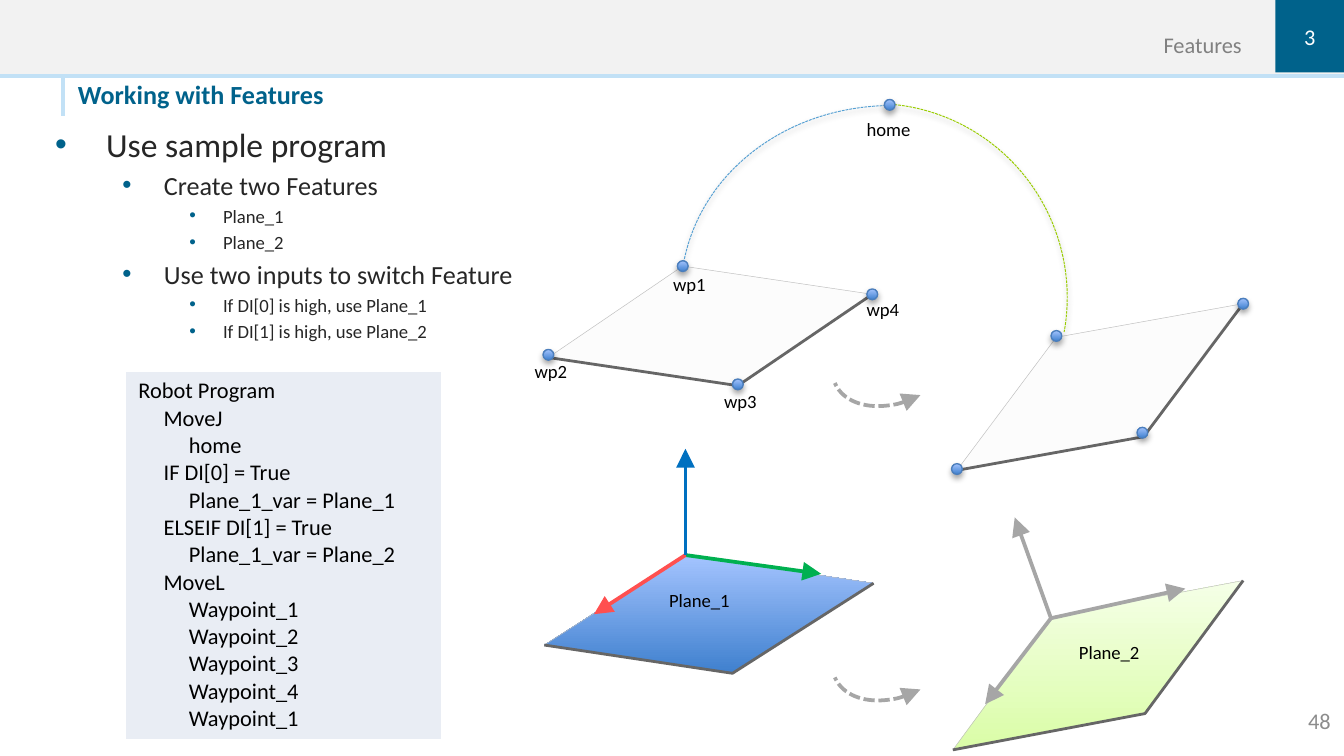
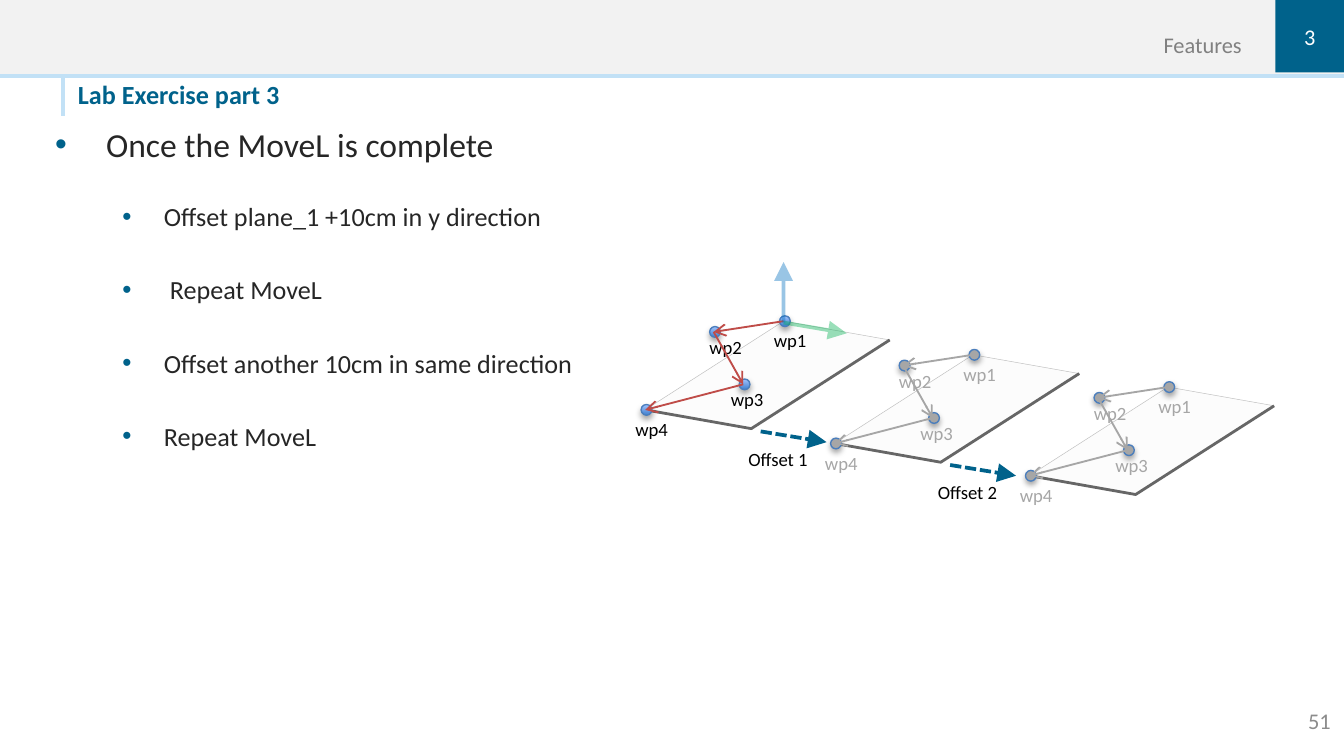
from lxml import etree
from pptx import Presentation
from pptx.dml.color import RGBColor
from pptx.enum.dml import MSO_LINE
from pptx.enum.shapes import MSO_CONNECTOR, MSO_SHAPE
from pptx.enum.text import MSO_ANCHOR, MSO_AUTO_SIZE, PP_ALIGN
from pptx.oxml.ns import qn
from pptx.util import Inches, Pt

RECTANGLE, OVAL, ARC = MSO_SHAPE.RECTANGLE, MSO_SHAPE.OVAL, MSO_SHAPE.ARC
STRAIGHT = MSO_CONNECTOR.STRAIGHT
DASHED = MSO_LINE.SQUARE_DOT
LEFT, CENTER, RIGHT = PP_ALIGN.LEFT, PP_ALIGN.CENTER, PP_ALIGN.RIGHT
TOP, MIDDLE, BOTTOM = MSO_ANCHOR.TOP, MSO_ANCHOR.MIDDLE, MSO_ANCHOR.BOTTOM
NO_AUTOSIZE = MSO_AUTO_SIZE.NONE

BLACK = RGBColor(0, 0, 0)
WHITE = RGBColor(0xFF, 0xFF, 0xFF)
NAVY = RGBColor(0x00, 0x62, 0x8B)
SKY = RGBColor(0xC2, 0xE1, 0xF6)
BAND = RGBColor(0xF2, 0xF2, 0xF2)
INK = RGBColor(0x26, 0x26, 0x26)
HEADER_GRAY = RGBColor(0x80, 0x80, 0x80)
NUMBER_GRAY = RGBColor(0x8C, 0x8C, 0x8C)
GRAY = RGBColor(0xA6, 0xA6, 0xA6)
EDGE = RGBColor(0x66, 0x66, 0x66)
HAIRLINE = RGBColor(0xBF, 0xBF, 0xBF)
PAPER = RGBColor(0xFC, 0xFC, 0xFC)
CODE_FILL = RGBColor(0xE9, 0xED, 0xF4)
DOT_LINE = RGBColor(0x4B, 0x7E, 0xBC)
BLUE_FADE = RGBColor(0x3F, 0x80, 0xCE), RGBColor(0xA4, 0xC4, 0xFF)
GREEN_FADE = RGBColor(0xDA, 0xFD, 0xA7), RGBColor(0xF5, 0xFF, 0xE7)
AXIS_GREEN = RGBColor(0x00, 0xB0, 0x50)
AXIS_RED = RGBColor(0xFF, 0x50, 0x50)
AXIS_BLUE = RGBColor(0x00, 0x70, 0xC0)
ROUTE_RED = RGBColor(0xBF, 0x4C, 0x48)
ARC_BLUE = RGBColor(0x56, 0xA0, 0xD3)
ARC_GREEN = RGBColor(0x99, 0xCC, 0x00)

FONT = "Calibri"
COLUMNS = 10
ROWS = COLUMNS * 9 / 16
DOT = 0.08
HEAD_SIZES = {"triangle": "lg", "arrow": "med"}
LEVELS = [(0.38, 0.38, 18), (0.81, 0.31, 14), (1.25, 0.25, 10)]  # margin, hang, size

CODE = """Robot Program
     MoveJ
          home
     IF DI[0] = True
          Plane_1_var = Plane_1
     ELSEIF DI[1] = True
          Plane_1_var = Plane_2
     MoveL
          Waypoint_1
          Waypoint_2
          Waypoint_3
          Waypoint_4
          Waypoint_1"""


def grid(*cells):
    """Turn columns and rows of the 16:9 grid, ten columns wide, into lengths."""
    return [Inches(cell) for cell in cells]


def shift(point, step):
    return point[0] + step[0], point[1] + step[1]


def write(para, text, color, size, bold=False):
    span = para.add_run()
    span.text = text
    span.font.color.rgb = color
    for name, value in {"name": FONT, "size": Pt(size), "bold": bold}.items():
        setattr(span.font, name, value)


def set_frame(frame, anchor=TOP, insets=(0.1, 0.05, 0.1, 0.05)):
    values = {"word_wrap": True, "auto_size": NO_AUTOSIZE, "vertical_anchor": anchor}
    sides = ("margin_left", "margin_top", "margin_right", "margin_bottom")
    values.update(zip(sides, grid(*insets)))
    for name, value in values.items():
        setattr(frame, name, value)


def add_label(shapes, place, text, color=BLACK, size=10, align=LEFT, **frame_format):
    box = shapes.add_textbox(*grid(*place))
    set_frame(box.text_frame, **frame_format)
    para = box.text_frame.paragraphs[0]
    para.alignment = align
    write(para, text, color, size)


def set_line(shape, color, width, dash=None, head=None, tail=None, opacity=100):
    shape.line.color.rgb = color
    shape.line.width = Pt(width)
    if dash:
        shape.line.dash_style = dash
    line = shape.element.spPr.find(qn("a:ln"))
    if opacity < 100:
        alpha = etree.SubElement(line.find(".//" + qn("a:srgbClr")), qn("a:alpha"))
        alpha.set("val", str(opacity * 1000))
    for tag, kind in (("a:headEnd", head), ("a:tailEnd", tail)):
        if kind:
            size = HEAD_SIZES[kind]
            etree.SubElement(line, qn(tag), type=kind, w=size, len=size)


def set_fill(shape, fill):
    """Fill with one colour, or fade upwards through a pair of colours."""
    if isinstance(fill, RGBColor):
        shape.fill.solid()
        shape.fill.fore_color.rgb = fill
        return
    shape.fill.gradient()
    shape.fill.gradient_angle = 90
    for stop, color in zip(shape.fill.gradient_stops, fill):
        stop.color.rgb = color


def drop_shadow(shape):
    effects = shape.element.spPr.find(qn("a:effectLst"))
    shadow = etree.SubElement(effects, qn("a:outerShdw"), blurRad=str(Pt(3.1)),
                              dist=str(Pt(1.8)), dir="5400000", rotWithShape="0")
    color = etree.SubElement(shadow, qn("a:srgbClr"), val=str(BLACK))
    etree.SubElement(color, qn("a:alpha"), val="35000")


def add_box(shapes, place, fill):
    box = shapes.add_shape(RECTANGLE, *grid(*place))
    box.shadow.inherit = False
    set_fill(box, fill)
    box.line.fill.background()
    return box


def add_line(shapes, start, end, color, width=2, **line_format):
    line = shapes.add_connector(STRAIGHT, *grid(*start, *end))
    set_line(line, color, width, **line_format)
    etree.SubElement(line.element.spPr, qn("a:effectLst"))
    return line


def add_arrow(shapes, start, end, color, tail="triangle", **line_format):
    add_line(shapes, start, end, color, tail=tail, **line_format)


def add_dot(shapes, corner, fill=BLUE_FADE):
    dot = shapes.add_shape(OVAL, *grid(*corner, DOT, DOT))
    dot.shadow.inherit = False
    set_fill(dot, fill)
    set_line(dot, DOT_LINE, 0.75)
    drop_shadow(dot)


def add_arc(shapes, place, rotation, sweep, color, width, **line_format):
    arc = shapes.add_shape(ARC, *grid(*place))
    arc.rotation = rotation
    arc.adjustments[0], arc.adjustments[1] = sweep
    arc.shadow.inherit = False
    arc.fill.background()
    set_line(arc, color, width, dash=DASHED, **line_format)
    return arc


def add_outline(shapes, points, close):
    start, *rest = [grid(*point) for point in points]
    builder = shapes.build_freeform(*start)
    builder.add_line_segments(rest, close=close)
    outline = builder.convert_to_shape()
    outline.shadow.inherit = False
    return outline


def add_plane(shapes, back, across, down, fill=PAPER):
    """Draw a tilted sheet from its back corner, with a dark front edge."""
    right, left = shift(back, across), shift(back, down)
    front = shift(right, down)
    sheet = add_outline(shapes, [back, right, front, left], True)
    set_fill(sheet, fill)
    set_line(sheet, HAIRLINE, 0.25)
    edge = add_outline(shapes, [left, front, right], False)
    edge.fill.background()
    set_line(edge, EDGE, 1.5)


def set_up_layout(layout, page):
    """Place the placeholders and the bands that all pages share."""
    places = {0: (0.58, 0.58, 4.41, 0.28), 1: (0.31, 0.87, 8.71, 4.5)}
    for holder in layout.placeholders:
        place = places.get(holder.placeholder_format.idx)
        if place:
            holder.left, holder.top, holder.width, holder.height = grid(*place)
    bands = [add_box(page.shapes, (0, 0, COLUMNS, 0.58), SKY),
             add_box(page.shapes, (0, 0, COLUMNS, 0.55), BAND),
             add_line(page.shapes, (0.47, 0.58), (0.47, 0.86), SKY, 2.5)]
    for band in bands:
        layout.shapes.element.append(band.element)


def add_heading(page, title, number):
    frame = page.shapes.title.text_frame
    set_frame(frame, insets=(0, 0, 0, 0.04))
    frame.paragraphs[0].alignment = LEFT
    write(frame.paragraphs[0], title, NAVY, 14, bold=True)
    none = (0, 0, 0, 0)
    add_label(page.shapes, (5, 0, 4.24, 0.43), "Features", HEADER_GRAY, 12, RIGHT,
              anchor=BOTTOM, insets=none)
    tile = add_box(page.shapes, (9.49, 0, 0.51, 0.54), NAVY)
    set_frame(tile.text_frame, MIDDLE, none)
    tile.text_frame.paragraphs[0].alignment = CENTER
    write(tile.text_frame.paragraphs[0], "3", WHITE, 12)
    add_label(page.shapes, (9, 5.21, 1, 0.3), number, NUMBER_GRAY, 12, RIGHT, anchor=MIDDLE)


def add_bullets(page, items):
    """Fill the body with (level, text) items; a third value is the space before."""
    frame = page.placeholders[1].text_frame
    set_frame(frame)
    for index, (level, text, *space) in enumerate(items):
        para = frame.paragraphs[0] if index == 0 else frame.add_paragraph()
        margin, hang, size = LEVELS[level]
        para.level = level
        properties = para._p.get_or_add_pPr()
        properties.set("marL", str(Inches(margin)))
        properties.set("indent", str(-Inches(hang)))
        color = etree.SubElement(properties, qn("a:buClr"))
        etree.SubElement(color, qn("a:srgbClr"), val=str(NAVY))
        etree.SubElement(properties, qn("a:buFont"), typeface="Arial")
        etree.SubElement(properties, qn("a:buChar"), char="•")
        if index == 0:
            para.space_before = Pt(0)
        elif space:
            para.space_before = Pt(space[0])
        write(para, text, INK, size)


def add_code(page):
    table = page.shapes.add_table(1, 1, *grid(0.93, 2.76, 2.36, 2.67)).table
    table.first_row = table.horz_banding = False
    cell = table.cell(0, 0)
    set_fill(cell, CODE_FILL)
    for index, line in enumerate(CODE.split("\n")):
        para = cell.text_frame.paragraphs[0] if index == 0 else cell.text_frame.add_paragraph()
        write(para, line, BLACK, 12)


def draw_features(page):
    shapes = page.shapes
    add_plane(shapes, (5.1, 4.13), (1.4, 0.21), (-1.05, 0.67), BLUE_FADE)
    add_plane(shapes, (7.82, 4.59), (1.43, -0.27), (-0.73, 0.99), GREEN_FADE)
    drop_shadow(add_arc(shapes, (5.24, 0.61, 2.92, 3.28), 279.4, (162, 207.6), ARC_BLUE, 0.5))
    for tip, color in [((6.11, 4.27), AXIS_GREEN), ((4.42, 4.57), AXIS_RED),
                       ((5.1, 3.34), AXIS_BLUE)]:
        add_arrow(shapes, (5.1, 4.13), tip, color)
    add_plane(shapes, (5.08, 1.98), (1.41, 0.21), (-1, 0.68))
    add_plane(shapes, (7.86, 2.51), (1.39, -0.25), (-0.74, 0.99))
    drop_shadow(add_arc(shapes, (5.07, 0.78, 2.88, 2.86), 80.6, (116.4, 173.92), ARC_GREEN, 0.5))
    for corner in [(4.04, 2.6), (5.45, 2.82), (5.04, 1.94), (6.45, 2.15), (6.58, 0.74),
                   (7.08, 3.45), (8.46, 3.18), (7.82, 2.46), (9.21, 2.22)]:
        add_dot(shapes, corner)
    for text, corner in {"wp2": (3.88, 2.63), "wp1": (4.91, 1.98), "wp3": (5.29, 2.85),
                         "wp4": (6.35, 2.17), "home": (6.35, 0.83),
                         "Plane_1": (4.88, 4.33), "Plane_2": (7.93, 4.72)}.items():
        add_label(shapes, (*corner, 0.86 if "_" in text else 0.54, 0.27), text)
    for tip in [(8.82, 4.38), (7.33, 5.24), (7.55, 3.85)]:
        add_arrow(shapes, (7.82, 4.6), tip, GRAY)
    for top in (2.27, 4.46):
        add_arc(shapes, (6.16, top, 1.05, 0.71), 152.6, (162, 1.17), GRAY, 2, head="triangle")


def draw_route(page, step, dot_fill, label_color, route_color):
    """Draw one sheet with its four waypoints, moved by step, as a group."""
    shapes = page.shapes.add_group_shape().shapes
    add_plane(shapes, shift((5.83, 2.39), step), (0.79, 0.14), (-1.03, 0.66))
    waypoints = {"wp4": ((4.77, 3.01), (4.63, 3.06)), "wp3": ((5.5, 2.82), (5.34, 2.84)),
                 "wp2": ((5.28, 2.43), (5.18, 2.45)), "wp1": ((5.8, 2.35), (5.66, 2.4))}
    for name, (dot, label) in waypoints.items():
        add_dot(shapes, shift(dot, step), dot_fill)
        add_label(shapes, (*shift(label, step), 0.54, 0.27), name, label_color)
    stops = [shift(point, step) for point in [(5.83, 2.39), (5.31, 2.47), (5.53, 2.86), (4.8, 3.05)]]
    for start, end in zip(stops, stops[1:]):
        add_arrow(shapes, start, end, route_color, tail="arrow", width=1)


def draw_offsets(page):
    draw_route(page, (0, 0), BLUE_FADE, BLACK, ROUTE_RED)
    for step in [(1.41, 0.25), (2.86, 0.49)]:
        draw_route(page, step, GRAY, GRAY, GRAY)
    for index in range(2):
        step = (1.41 * index, 0.25 * index)
        add_label(page.shapes, (*shift((5.47, 3.28), step), 0.67, 0.27), f"Offset {index + 1}")
        add_arrow(page.shapes, shift((5.66, 3.21), step), shift((6.15, 3.29), step), NAVY, dash=DASHED)
    for tip, color in [((6.3, 2.48), AXIS_GREEN), ((5.83, 1.95), AXIS_BLUE)]:
        add_arrow(page.shapes, (5.83, 2.4), tip, color, opacity=40)


def main():
    deck = Presentation()
    deck.slide_width, deck.slide_height = grid(COLUMNS, ROWS)
    layout = deck.slide_layouts[1]
    features, exercise = [deck.slides.add_slide(layout) for _ in range(2)]
    set_up_layout(layout, features)

    add_heading(features, "Working with Features", "48")
    add_bullets(features, [
        (0, "Use sample program"), (1, "Create two Features"), (2, "Plane_1"), (2, "Plane_2"),
        (1, "Use two inputs to switch Feature"), (2, "If DI[0] is high, use Plane_1"),
        (2, "If DI[1] is high, use Plane_2")])
    add_code(features)
    draw_features(features)

    add_heading(exercise, "Lab Exercise part 3", "51")
    add_bullets(exercise, [
        (0, "Once the MoveL is complete"), (1, "Offset plane_1 +10cm in y direction", 19.6),
        (1, " Repeat MoveL", 22.4), (1, "Offset another 10cm in same direction", 22.4),
        (1, "Repeat MoveL", 22.4)])
    draw_offsets(exercise)
    deck.save("out.pptx")


if __name__ == "__main__":
    main()
